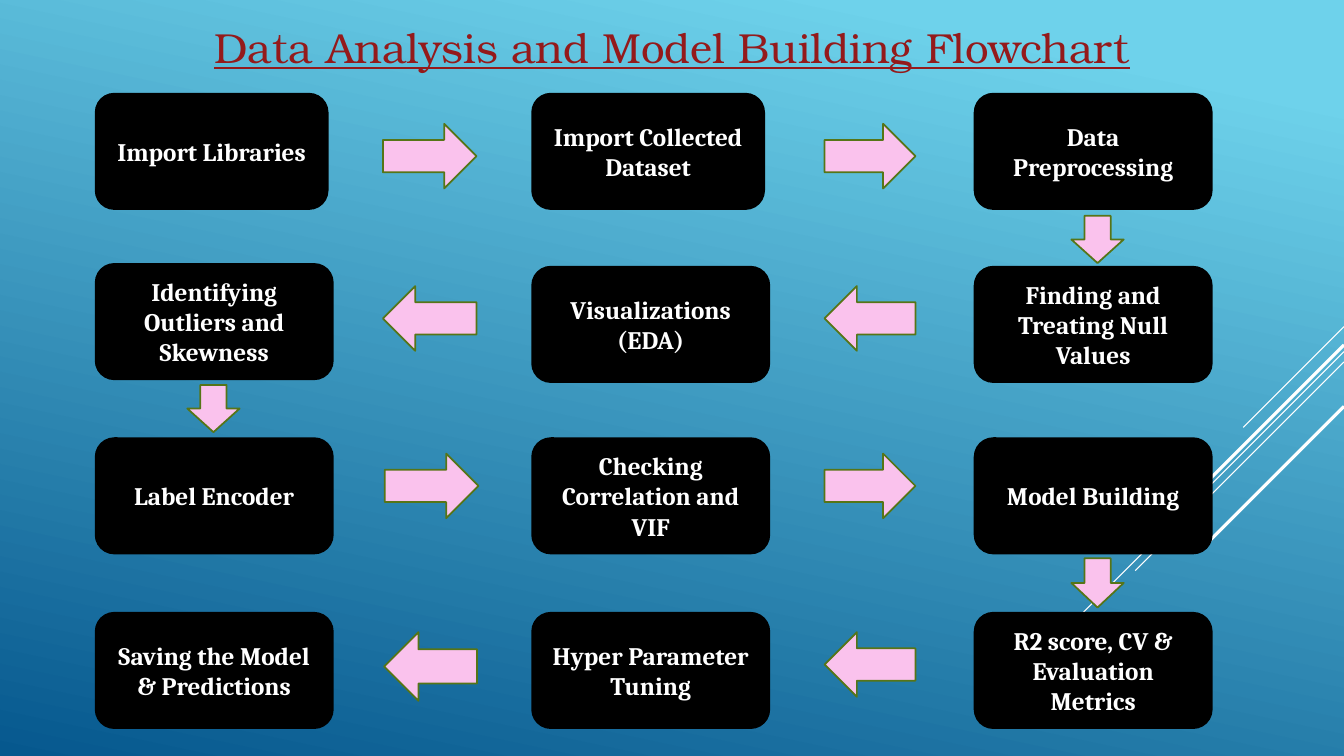
"""Build the data analysis and model building flowchart slide."""
from dataclasses import dataclass

from lxml import etree
from pptx import Presentation
from pptx import util as u
from pptx.dml import color
from pptx.enum import shapes, text
from pptx.oxml import ns

Kind = shapes.MSO_SHAPE
HUES = {"sky": "6ED2EB", "sea": "06588E", "title": "941A1B", "box": "000000",
        "white": "FFFFFF", "pink": "FAC2ED", "edge": "567517"}
COLS = (2.39, 13.39, 24.54)
ROWS = (2.34, 6.7, 11.02, 15.42)
WIDE, SLIM, TALL = 6.02, 5.89, 2.95
LEFT, RIGHT, DOWN = Kind.LEFT_ARROW, Kind.RIGHT_ARROW, Kind.DOWN_ARROW
STEPS = (
    ("Import Libraries", "Import Collected Dataset", "Data Preprocessing"),
    ("Identifying Outliers and Skewness", "Visualizations\n(EDA)",
     "Finding and Treating Null Values"),
    ("Label Encoder", "Checking Correlation and VIF", "Model Building"),
    ("Saving the Model & Predictions", "Hyper Parameter Tuning",
     "R2 score, CV & Evaluation Metrics"),
)


@dataclass
class Arrow:
    kind: Kind
    left: float
    top: float
    width: float = 2.29
    height: float = 1.63


@dataclass
class Ray:
    top: float
    run: float
    weight: float = 0.75


ARROWS = (
    Arrow(RIGHT, 9.65, 3.12, 2.36), Arrow(RIGHT, 20.78, 3.12),
    Arrow(DOWN, 27, 5.44, 1.32, 1.19),
    Arrow(LEFT, 20.78, 7.21), Arrow(LEFT, 9.65, 7.21, 2.36),
    Arrow(DOWN, 4.72, 9.7, 1.32, 1.19),
    Arrow(RIGHT, 9.7, 11.43, 2.36), Arrow(RIGHT, 20.78, 11.43),
    Arrow(DOWN, 27, 14.07, 1.32, 1.24),
    Arrow(LEFT, 20.78, 15.93), Arrow(LEFT, 9.68, 15.93, 2.34, 1.73),
)
RAYS = (Ray(8.23, 2.54), Ray(8.86, 8.28), Ray(9.12, 5.26),
        Ray(8.69, 4.85, 2.25), Ray(10.24, 3.53, 2.25))


def hue(name: str) -> color.RGBColor:
    return color.RGBColor.from_string(HUES[name])


def write(shape, words: str, *, size: float, face: str, ink: str,
          bold: bool = False, under: bool = False) -> None:
    frame = shape.text_frame
    frame.word_wrap = True
    frame.vertical_anchor = text.MSO_ANCHOR.MIDDLE
    frame.text = words
    for para in frame.paragraphs:
        para.alignment = text.PP_ALIGN.CENTER
        font = para.runs[0].font
        font.size, font.name = u.Pt(size), face
        font.bold, font.underline = bold, under
        font.color.rgb = hue(ink)


def block(slide, kind: Kind, left: float, top: float, width: float,
          height: float, fill: str):
    shape = slide.shapes.add_shape(
        kind, u.Cm(left), u.Cm(top), u.Cm(width), u.Cm(height))
    shape.shadow.inherit = False
    shape.fill.solid()
    shape.fill.fore_color.rgb = hue(fill)
    shape.line.fill.background()
    return shape


def draw_ray(slide, ray: Ray, edge: float) -> None:
    line = slide.shapes.add_connector(
        shapes.MSO_CONNECTOR.STRAIGHT, u.Cm(edge), u.Cm(ray.top),
        u.Cm(edge - ray.run), u.Cm(ray.top + ray.run))
    line.line.color.rgb = hue("white")
    line.line.width = u.Pt(ray.weight)
    etree.SubElement(line._element.spPr, ns.qn("a:effectLst"))


def draw_arrow(slide, arrow: Arrow) -> None:
    shape = block(slide, arrow.kind, arrow.left, arrow.top,
                  arrow.width, arrow.height, "pink")
    shape.line.color.rgb = hue("edge")
    shape.line.width = u.Pt(1.25)


def draw_step(slide, words: str, row: int, col: int) -> None:
    width = SLIM if row == 0 and col < 2 else WIDE
    top = ROWS[row] - (0.07 if (row, col) == (1, 0) else 0)
    shape = block(slide, Kind.FLOWCHART_ALTERNATE_PROCESS,
                  COLS[col], top, width, TALL, "box")
    write(shape, words, size=18, face="Cambria", ink="white", bold=True)


def paint(slide) -> None:
    fill = slide.background.fill
    fill.gradient()
    fill.gradient_angle = 258
    for stop, name, place in zip(fill.gradient_stops, ("sky", "sea"), (0.1, 1)):
        stop.color.rgb = hue(name)
        stop.position = place


def main() -> None:
    deck = Presentation()
    deck.slide_width, deck.slide_height = u.Cm(33.87), u.Cm(19.05)
    slide = deck.slides.add_slide(deck.slide_layouts[6])
    paint(slide)
    for ray in RAYS:
        draw_ray(slide, ray, 33.87)
    title = slide.shapes.add_textbox(0, u.Cm(0.41), u.Cm(33.87), u.Cm(1.55))
    write(title, "Data Analysis and Model Building Flowchart", size=30,
          face="TeX Gyre Bonum", ink="title", under=True)
    for arrow in ARROWS:
        draw_arrow(slide, arrow)
    for row, names in enumerate(STEPS):
        for col, words in enumerate(names):
            draw_step(slide, words, row, col)
    deck.save("out.pptx")


if __name__ == "__main__":
    main()
